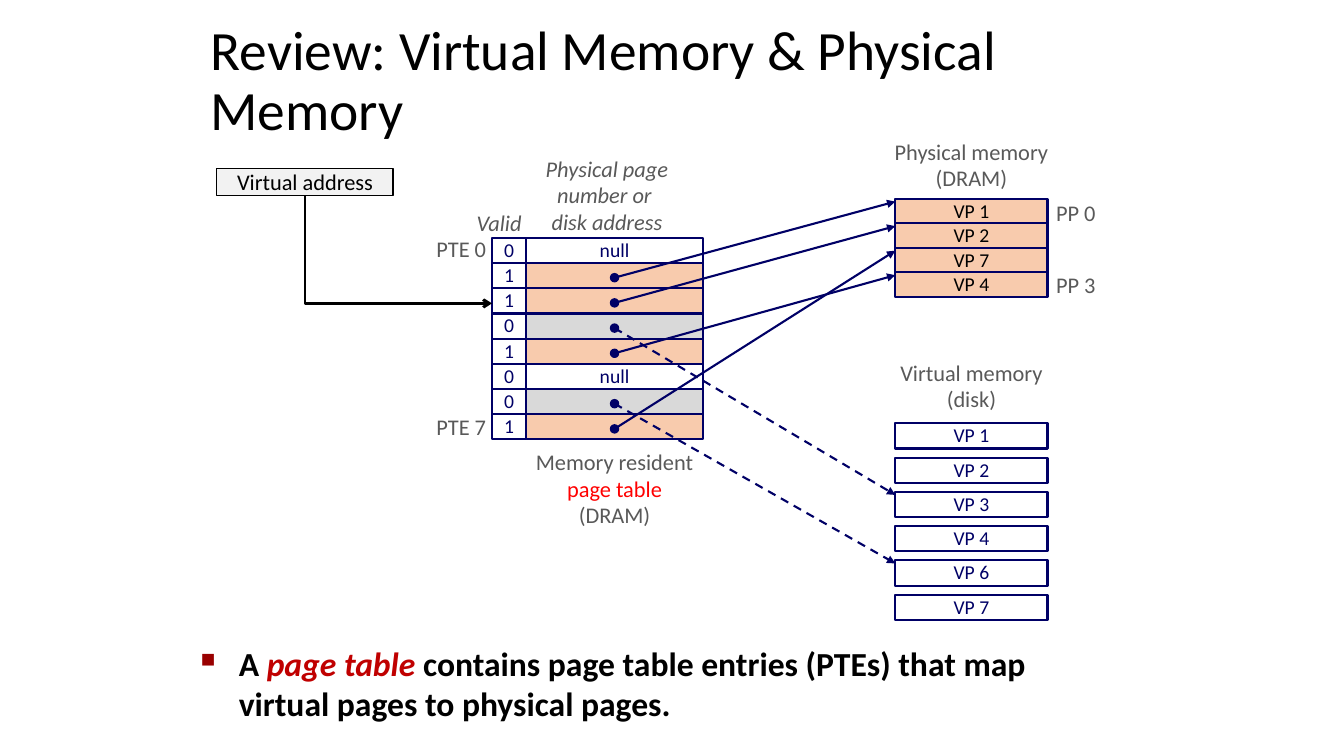
from dataclasses import dataclass

from lxml.etree import SubElement
from pptx import Presentation
from pptx.dml.color import RGBColor
from pptx.enum.dml import MSO_LINE_DASH_STYLE as Dash
from pptx.enum.shapes import MSO_CONNECTOR as Connector, MSO_SHAPE as Shape
from pptx.enum.text import MSO_ANCHOR as Anchor, PP_ALIGN as Align
from pptx.oxml.ns import qn
from pptx.util import Inches, Pt


@dataclass(frozen=True)
class Theme:
    font: str = "Calibri"
    black: str = "000000"
    navy: str = "000066"
    gray: str = "595959"
    white: str = "FFFFFF"
    resident: str = "F8CBAD"
    on_disk: str = "D9D9D9"
    address: str = "F2F2F2"
    highlight: str = "FF0000"
    emphasis: str = "C00000"
    bullet: str = "990000"
    title_size: float = 39.6
    body_size: float = 24
    label_size: float = 16
    cell_size: float = 14


@dataclass(frozen=True)
class Box:
    left: float
    top: float
    width: float
    height: float

    def inches(self):
        return [Inches(n) for n in (self.left, self.top, self.width, self.height)]

    def inner(self, left, top, width, height):
        return Box(self.left + left, self.top + top, width, height)

    def rows(self, count, height):
        """Equal rows spread from the top edge to the bottom edge."""
        pitch = (self.height - height) / (count - 1)
        return [self.inner(0, i * pitch, self.width, height) for i in range(count)]


THEME = Theme()
ROW = 0.25
# Valid bit and the page each entry refers to
ENTRIES = [(0, None), (1, "VP 1"), (1, "VP 2"), (0, "VP 3"),
           (1, "VP 4"), (0, None), (0, "VP 6"), (1, "VP 7")]


def color(value):
    return RGBColor.from_string(value)


# Text and shape helpers
def write(shape, text, size=THEME.label_size, ink=THEME.gray, bold=False, italic=False,
          align=Align.CENTER, anchor=Anchor.MIDDLE, wrap=False, spacing=0.98):
    """Text is a string, or a list of lines; a line may list (words, format) spans."""
    frame = shape.text_frame
    frame.word_wrap, frame.vertical_anchor = wrap, anchor
    for index, line in enumerate([text] if isinstance(text, str) else text):
        para = frame.add_paragraph() if index else frame.paragraphs[0]
        para.alignment, para.line_spacing = align, spacing
        for words, change in [(line, {})] if isinstance(line, str) else line:
            span = para.add_run()
            span.text = words
            font = span.font
            font.name, font.size, font.bold = THEME.font, Pt(size), bold
            font.italic = change.get("italic", italic)
            font.color.rgb = color(change.get("ink", ink))
    return frame


def label(page, box, text, **style):
    return write(page.shapes.add_textbox(*box.inches()), text, **style)


def block(page, box, fill, text="", line=THEME.navy, weight=1.5, kind=Shape.RECTANGLE, **style):
    shape = page.shapes.add_shape(kind, *box.inches())
    shape.shadow.inherit = False
    shape.fill.solid()
    shape.fill.fore_color.rgb = color(fill)
    shape.line.color.rgb = color(line)
    shape.line.width = Pt(weight)
    if text:
        write(shape, text, **style)


def arrow(page, start, end, ink=THEME.navy, weight=1.5, dashed=False,
          kind=Connector.STRAIGHT, head="triangle"):
    link = page.shapes.add_connector(kind, *(Inches(n) for n in (*start, *end)))
    link.line.color.rgb = color(ink)
    link.line.width = Pt(weight)
    if dashed:
        link.line.dash_style = Dash.DASH
    SubElement(link.line._get_or_add_ln(), qn("a:tailEnd"), type=head)
    SubElement(link._element.spPr, qn("a:effectLst"))
    return link


def down_then_right(page, start, end, **style):
    link = arrow(page, start, end, kind=Connector.ELBOW, **style)
    across, down = end[0] - start[0], end[1] - start[1]
    # The one-bend preset runs right then down, so it is turned and mirrored
    link.left = Inches((start[0] + end[0] - down) / 2)
    link.top = Inches((start[1] + end[1] - across) / 2)
    link.width, link.height = Inches(down), Inches(across)
    properties = link._element.spPr
    frame = properties.find(qn("a:xfrm"))
    frame.set("rot", "16200000")
    frame.set("flipH", "1")
    properties.find(qn("a:prstGeom")).set("prst", "bentConnector2")


# Regions
def add_title(page, box):
    label(page, box, "Review: Virtual Memory & Physical Memory", size=THEME.title_size,
          ink=THEME.black, align=Align.LEFT, wrap=True, spacing=0.9)


def add_page_table(page, box):
    """Draws the table and returns the box of each entry's address cell."""
    bit_width = 0.34
    cells = []
    for (valid, target), row in zip(ENTRIES, box.rows(len(ENTRIES), ROW)):
        cell = row.inner(bit_width, 0, box.width - bit_width, ROW)
        fill = THEME.white if not target else THEME.resident if valid else THEME.on_disk
        block(page, cell, fill, "" if target else "null", size=THEME.cell_size, ink=THEME.navy)
        block(page, row.inner(0, 0, bit_width, ROW), THEME.white, str(valid),
              size=THEME.cell_size, ink=THEME.navy)
        cells.append(cell)
    label(page, box.inner(-0.25, -0.33, 0.75, 0.37), "Valid", italic=True, align=Align.LEFT)
    label(page, box.inner(0.41, -0.86, 1.46, 0.89),
          ["Physical page", "number or ", "disk address"], italic=True)
    for name, top in (("PTE 0", -0.07), ("PTE 7", 1.7)):
        label(page, box.inner(-0.66, top, 0.7, 0.37), name, align=Align.RIGHT)
    label(page, box.inner(0.29, 2.05, 1.85, 0.89),
          ["Memory resident", [("page table", {"ink": THEME.highlight})], "(DRAM)"])
    return cells


def add_memory(page, box, heading, gap, names, fill, ink):
    """Draws a headed stack of pages and returns the box of each page by name."""
    overhang = 0.2  # the heading is wider than the stack
    label(page, box.inner(-overhang, -gap, box.width + 2 * overhang, 0.63), heading)
    slots = dict(zip(names, box.rows(len(names), ROW)))
    for name, slot in slots.items():
        block(page, slot, fill, name, size=THEME.cell_size, ink=ink)
    return slots


def add_mappings(page, cells, frames, disk):
    dot = 0.08
    for (valid, target), cell in zip(ENTRIES, cells):
        if not target:
            continue
        slot = (frames if valid else disk)[target]
        x, y = cell.left + cell.width / 2, cell.top + cell.height / 2 + 0.02
        arrow(page, (x, y), (slot.left, slot.top + 0.03), dashed=not valid)
        block(page, Box(x - dot / 2, y - dot / 2, dot, dot), THEME.navy,
              weight=1, kind=Shape.OVAL)


def add_virtual_address(page, box, entry):
    block(page, box, THEME.address, "Virtual address", line=THEME.black, weight=1,
          ink=THEME.black, spacing=1.0)
    down_then_right(page, (box.left + box.width / 2, box.top + box.height), entry,
                    ink=THEME.black, weight=2, head="arrow")


def add_statement(page, box):
    line = [("A ", {}), ("page table ", {"ink": THEME.emphasis, "italic": True}),
            ("contains page table entries (PTEs) that map virtual pages to physical pages.", {})]
    frame = label(page, box, [line], size=THEME.body_size, ink=THEME.black, bold=True,
                  align=Align.LEFT, anchor=Anchor.TOP, wrap=True, spacing=1.0)
    para = frame.paragraphs[0]
    para.space_before = Pt(4.8)
    # Square bullet with a hanging indent
    properties = para._p.get_or_add_pPr()
    properties.set("marL", str(Inches(0.38)))
    properties.set("indent", str(Inches(-0.38)))
    SubElement(SubElement(properties, qn("a:buClr")), qn("a:srgbClr"), val=THEME.bullet)
    SubElement(properties, qn("a:buSzPct"), val="60000")
    SubElement(properties, qn("a:buChar"), char="■")


def main():
    deck = Presentation()
    deck.slide_width, deck.slide_height = Inches(13.33), Inches(7.5)
    page = deck.slides.add_slide(deck.slide_layouts[6])

    add_title(page, Box(1.99, 0.39, 9.51, 0.86))
    table = Box(4.88, 2.36, 2.09, 2)
    cells = add_page_table(page, table)
    dram = Box(8.88, 1.97, 1.51, 0.98)
    frames = add_memory(page, dram, ["Physical memory", "(DRAM)"], 0.64,
                        ["VP 1", "VP 2", "VP 7", "VP 4"], THEME.resident, THEME.black)
    for name, top in (("PP 0", -0.04), ("PP 3", 0.68)):
        label(page, dram.inner(1.49, top, 0.6, 0.37), name)
    disk = add_memory(page, Box(8.88, 4.2, 1.51, 1.95), ["Virtual memory", "(disk)"], 0.68,
                      ["VP 1", "VP 2", "VP 3", "VP 4", "VP 6", "VP 7"], THEME.white, THEME.navy)
    add_mappings(page, cells, frames, disk)
    add_virtual_address(page, Box(2.15, 1.67, 1.75, 0.27), (table.left, cells[2].top + 0.15))
    add_statement(page, Box(1.89, 6.33, 9.09, 0.96))
    deck.save("out.pptx")


if __name__ == "__main__":
    main()
